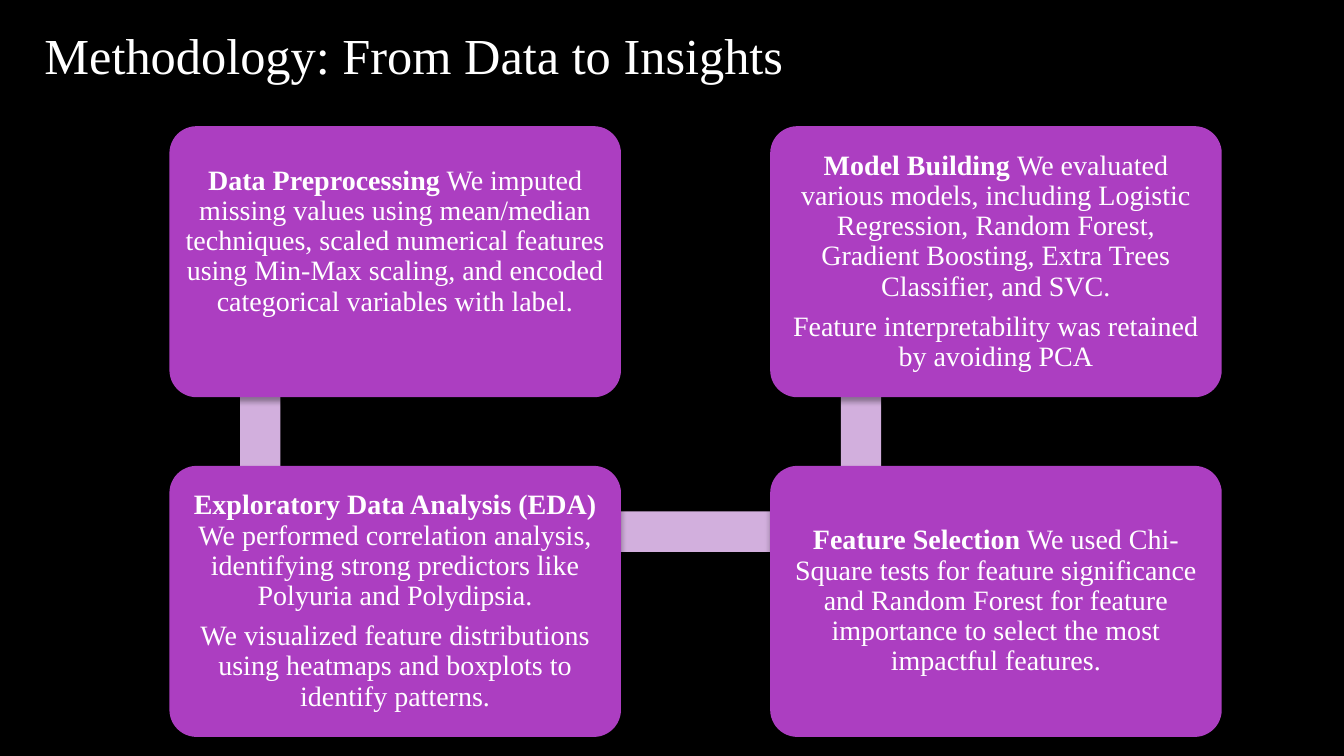
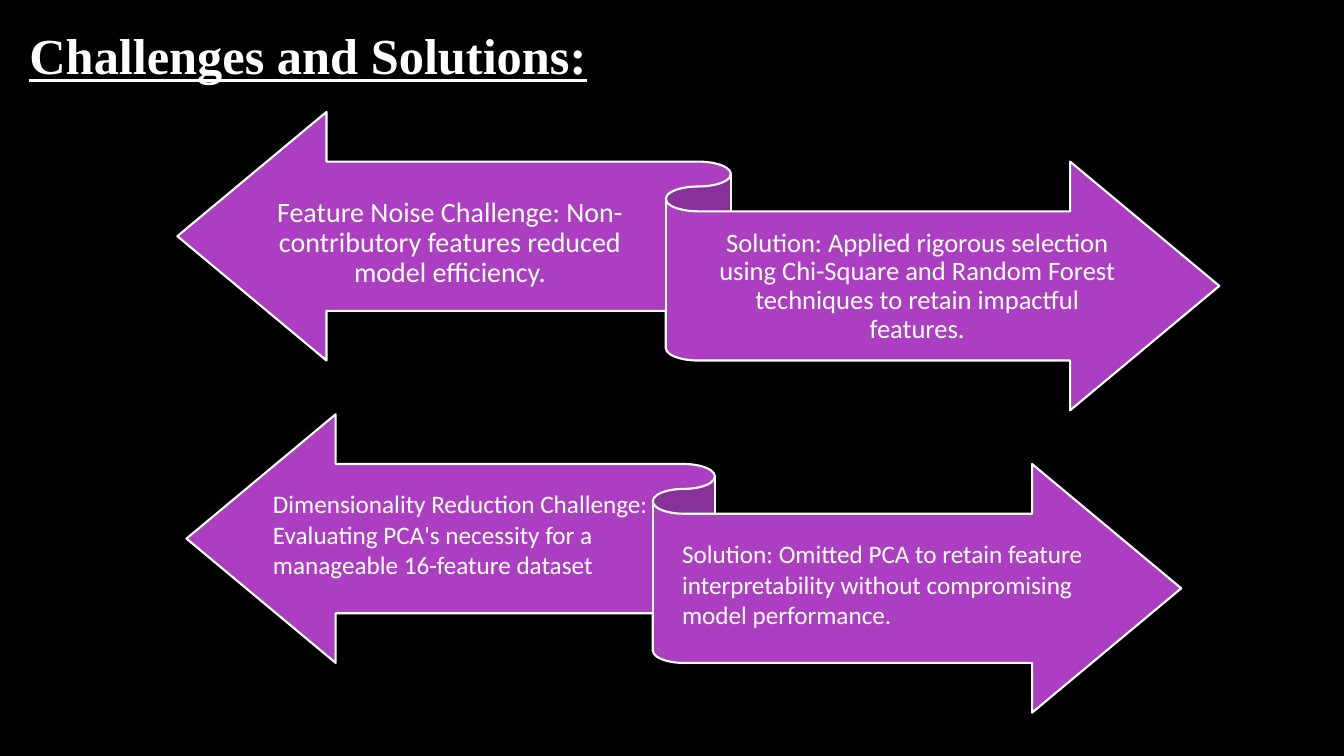
from lxml import etree
from pptx import Presentation
from pptx import util as u
from pptx.dml.color import RGBColor
from pptx.enum import shapes, text
from pptx.oxml.ns import qn

BLACK, WHITE, PURPLE, LILAC = "000000", "FFFFFF", "AC3EC1", "D2AFDD"
SERIF, SANS = "Times New Roman", "Calibri"
BOX_WIDTH, BOX_HEIGHT = 11.38, 6.83
COLUMNS = [4.27 + 15.14 * column for column in range(2)]
ROWS = [3.18 + 8.56 * row for row in range(2)]
BAR = 1.02
RIBBON_HEIGHT = 7.52

STEPS = [
    (0, 0, 1.02, [
        [("Data Preprocessing", True),
         (" We imputed missing values using mean/median techniques, scaled numerical "
          "features using Min-Max scaling, and encoded categorical variables with label.", False)]]),
    (0, 1, 0, [
        [("Exploratory Data Analysis (EDA) ", True),
         ("We performed correlation analysis, identifying strong predictors like "
          "Polyuria and Polydipsia.", False)],
        [("We visualized feature distributions using heatmaps and boxplots to "
          "identify patterns.", False)]]),
    (1, 1, 0, [
        [("Feature Selection", True),
         (" We used Chi-Square tests for feature significance and Random Forest for "
          "feature importance to select the most impactful features.", False)]]),
    (1, 0, 0, [
        [("Model Building ", True),
         ("We evaluated various models, including Logistic Regression, Random Forest, "
          "Gradient Boosting, Extra Trees Classifier, and SVC.", False)],
        [("Feature interpretability was retained by avoiding PCA", False)]]),
]

CENTRED = {"align": text.PP_ALIGN.CENTER, "spacing": 0.9, "after": 7}
PAIRS = [
    ((4.47, 2.82, 26.26), [
        ((6.12, 4.29, 10.44, 3.68), 20, CENTRED,
         "Feature Noise Challenge: Non-contributory features reduced model efficiency."),
        ((17.96, 5.38, 10.31, 3.68), 19, CENTRED,
         "Solution: Applied rigorous selection using Chi-Square and Random Forest "
         "techniques to retain impactful features.")]),
    ((4.7, 10.44, 25.07), [
        ((6.88, 12.17, 9.81, 2.57), 18, {},
         "Dimensionality Reduction Challenge: Evaluating PCA's necessity for a "
         "manageable 16-feature dataset"),
        ((17.19, 13.41, 10.83, 2.62), 18, {},
         "Solution: Omitted PCA to retain feature interpretability without "
         "compromising model performance.")]),
]


def colour(value):
    """Turn a hex string into a colour."""
    return RGBColor.from_string(value)


def place(*lengths):
    """Turn centimetres into slide lengths."""
    return [u.Cm(length) for length in lengths]


def set_frame(frame, side=0, vertical=0.2, extra_bottom=0):
    """Wrap the text, centre it vertically and set its margins."""
    frame.word_wrap = True
    frame.auto_size = text.MSO_AUTO_SIZE.NONE
    frame.vertical_anchor = text.MSO_ANCHOR.MIDDLE
    frame.margin_left = frame.margin_right = u.Cm(side)
    frame.margin_top = u.Cm(vertical)
    frame.margin_bottom = u.Cm(vertical + extra_bottom)


def write(frame, paragraphs, font, size, align=text.PP_ALIGN.LEFT,
          spacing=1.0, after=0, underline=False):
    """Write paragraphs of (words, bold) runs."""
    for index, runs in enumerate(paragraphs):
        paragraph = frame.paragraphs[0] if index == 0 else frame.add_paragraph()
        paragraph.alignment = align
        paragraph.line_spacing = spacing
        paragraph.space_after = u.Pt(after)
        for words, bold in runs:
            run = paragraph.add_run()
            run.text = words
            run.font.name = font
            run.font.size = u.Pt(size)
            run.font.bold = bold
            run.font.underline = underline
            run.font.color.rgb = colour(WHITE)


def add_titled_slide(presentation, title, left, emphasis=False):
    """Add a slide with its title in place."""
    slide = presentation.slides.add_slide(presentation.slide_layouts[5])
    shape = slide.shapes.title
    shape.left, shape.top, shape.width, shape.height = place(left, 0.48, 25.5, 1.8)
    set_frame(shape.text_frame, vertical=0.13)
    write(shape.text_frame, [[(title, emphasis)]], SERIF, 36, underline=emphasis)
    return slide


def add_filled(slide, kind, area, fill, line=None):
    """Add a flat shape with an optional outline."""
    shape = slide.shapes.add_shape(kind, *place(*area))
    shape.shadow.inherit = False
    shape.fill.solid()
    shape.fill.fore_color.rgb = colour(fill)
    if line:
        shape.line.color.rgb = colour(line)
        shape.line.width = u.Pt(1.5)
    else:
        shape.line.fill.background()
    return shape


def add_soft_shadow(shape):
    """Give a shape a soft shadow below it."""
    effects = shape.element.spPr.find(qn("a:effectLst"))
    shadow = etree.SubElement(effects, qn("a:outerShdw"), blurRad=str(u.Pt(4)),
                              dist=str(u.Pt(3)), dir="5400000", rotWithShape="0")
    tone = etree.SubElement(shadow, qn("a:srgbClr"), val=BLACK)
    etree.SubElement(tone, qn("a:alpha"), val="35000")


def add_step(slide, column, row, extra_bottom, paragraphs):
    """Add one step box of the method."""
    area = (COLUMNS[column], ROWS[row], BOX_WIDTH, BOX_HEIGHT)
    shape = add_filled(slide, shapes.MSO_SHAPE.ROUNDED_RECTANGLE, area, PURPLE)
    shape.adjustments[0] = 0.1
    add_soft_shadow(shape)
    set_frame(shape.text_frame, 0.2, 0.2, extra_bottom)
    write(shape.text_frame, paragraphs, SERIF, 20, **CENTRED)


def add_caption(slide, area, size, style, words):
    """Add the wording on one half of a ribbon."""
    frame = slide.shapes.add_textbox(*place(*area)).text_frame
    set_frame(frame, vertical=0.13)
    write(frame, [[(words, False)]], SANS, size, **style)


def build_methodology(presentation):
    """Build the slide of four linked steps."""
    slide = add_titled_slide(presentation, "Methodology: From Data to Insights", 1.12)
    bars = [(left + 1.78, ROWS[0] + 1.69, BAR, 8.51) for left in COLUMNS]
    bars.append((COLUMNS[0] + 2.31, ROWS[1] + 1.15, 15.11, BAR))
    for bar in bars:
        add_filled(slide, shapes.MSO_SHAPE.RECTANGLE, bar, LILAC)
    for step in STEPS:
        add_step(slide, *step)


def build_challenges(presentation):
    """Build the slide of challenge and solution ribbons."""
    slide = add_titled_slide(presentation, "Challenges and Solutions:", 0.74, emphasis=True)
    for ribbon, captions in PAIRS:
        add_filled(slide, shapes.MSO_SHAPE.LEFT_RIGHT_RIBBON,
                   (*ribbon, RIBBON_HEIGHT), PURPLE, WHITE)
        for caption in captions:
            add_caption(slide, *caption)


def main():
    """Build and save the presentation."""
    presentation = Presentation()
    presentation.slide_width, presentation.slide_height = place(33.87, 19.05)
    background = presentation.slide_master.background.fill
    background.solid()
    background.fore_color.rgb = colour(BLACK)
    build_methodology(presentation)
    build_challenges(presentation)
    presentation.save("out.pptx")


if __name__ == "__main__":
    main()
